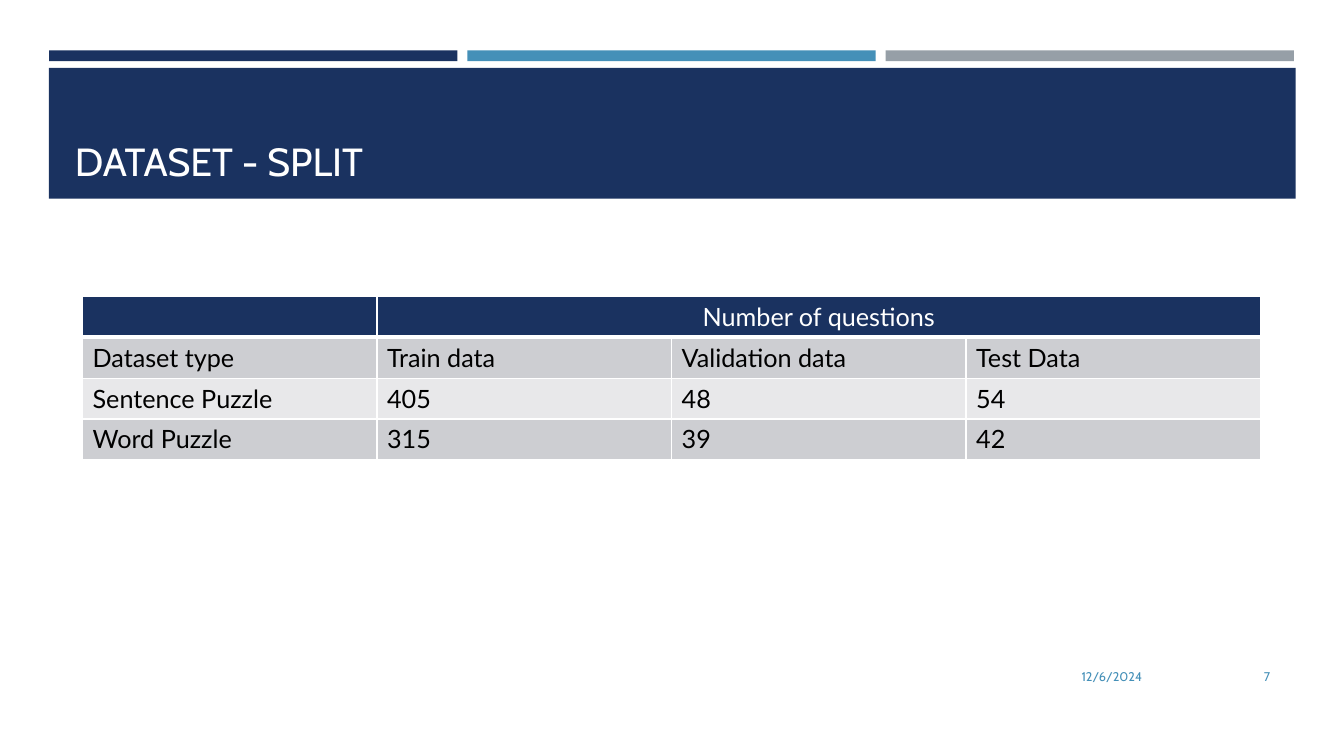
from dataclasses import dataclass

from lxml.etree import SubElement
from pptx import Presentation
from pptx.dml.color import RGBColor
from pptx.enum.shapes import MSO_SHAPE as Preset
from pptx.enum.text import MSO_ANCHOR as Anchor, PP_ALIGN as Align
from pptx.oxml.ns import qn
from pptx.util import Cm, Pt


@dataclass(frozen=True)
class Theme:
    navy: str = "1A3260"
    blue: str = "4590B8"
    grey: str = "969FA7"
    white: str = "FFFFFF"
    black: str = "000000"
    dark_band: str = "CDCED2"
    light_band: str = "E8E8EA"
    heading_font: str = "Cabin"
    table_font: str = "Lato"
    title_size: int = 28
    table_size: int = 18
    footer_size: int = 9
    rule_width: int = 1
    header_rule_width: int = 3


THEME = Theme()
TITLE_ONLY = 5

ROWS = [
    ["", "Number of questions", "", ""],
    ["Dataset type", "Train data", "Validation data", "Test Data"],
    ["Sentence Puzzle", "405", "48", "54"],
    ["Word Puzzle", "315", "39", "42"],
]


def write_text(frame, text, *, font, size, color, align=Align.LEFT, anchor=Anchor.TOP):
    frame.word_wrap = True
    frame.vertical_anchor = anchor
    paragraph = frame.paragraphs[0]
    paragraph.alignment = align
    run = paragraph.add_run()
    run.text = text
    run.font.name = font
    run.font.size = Pt(size)
    run.font.bold = False
    run.font.color.rgb = RGBColor.from_string(color)


def add_bar(slide, left, top, width, height, color):
    bar = slide.shapes.add_shape(
        Preset.RECTANGLE, Cm(left), Cm(top), Cm(width), Cm(height)
    )
    bar.shadow.inherit = False
    bar.fill.solid()
    bar.fill.fore_color.rgb = RGBColor.from_string(color)
    bar.line.fill.background()


def place_title(slide, text):
    title = slide.shapes.title
    title.left, title.top = Cm(1.63), Cm(1.96)
    title.width, title.height = Cm(30.63), Cm(2.82)
    write_text(
        title.text_frame, text, font=THEME.heading_font, size=THEME.title_size,
        color=THEME.white, anchor=Anchor.BOTTOM,
    )
    slide.shapes.element.append(title.element)


def add_footer(slide, text, left, width):
    box = slide.shapes.add_textbox(Cm(left), Cm(16.54), Cm(width), Cm(1.02))
    write_text(
        box.text_frame, text, font=THEME.heading_font, size=THEME.footer_size,
        color=THEME.blue, align=Align.RIGHT, anchor=Anchor.MIDDLE,
    )


def set_borders(cell, widths):
    properties = cell._tc.get_or_add_tcPr()
    for side, width in widths.items():
        line = SubElement(properties, qn(f"a:ln{side}"), w=str(Pt(width)))
        fill = SubElement(line, qn("a:solidFill"))
        SubElement(fill, qn("a:srgbClr"), val=THEME.white)


def format_cell(cell, text, row):
    header = row == 0
    widths = dict.fromkeys("LRTB", THEME.rule_width)
    if row < 2:
        widths["B" if header else "T"] = THEME.header_rule_width
    set_borders(cell, widths)
    band = THEME.dark_band if row % 2 else THEME.light_band
    cell.fill.solid()
    cell.fill.fore_color.rgb = RGBColor.from_string(THEME.navy if header else band)
    if text:
        write_text(
            cell.text_frame, text, font=THEME.table_font, size=THEME.table_size,
            color=THEME.white if header else THEME.black,
            align=Align.CENTER if header else Align.LEFT,
        )


def add_split_table(slide, rows):
    frame = slide.shapes.add_table(
        len(rows), len(rows[0]), Cm(2.08), Cm(7.47), Cm(29.69), Cm(1.03 * len(rows))
    )
    table = frame.table
    table.horz_banding = False
    for row, texts in enumerate(rows):
        for column, text in enumerate(texts):
            format_cell(table.cell(row, column), text, row)
    table.cell(0, 1).merge(table.cell(0, len(rows[0]) - 1))


def main():
    presentation = Presentation()
    presentation.slide_width, presentation.slide_height = Cm(33.87), Cm(19.05)
    slide = presentation.slides.add_slide(presentation.slide_layouts[TITLE_ONLY])

    for index, color in enumerate((THEME.navy, THEME.blue, THEME.grey)):
        add_bar(slide, 1.24 + 10.54 * index, 1.27, 10.29, 0.27, color)
    add_bar(slide, 1.23, 1.71, 31.42, 3.3, THEME.navy)
    place_title(slide, "DATASET - SPLIT")
    add_split_table(slide, ROWS)
    add_footer(slide, "12/6/2024", 21.13, 7.9)
    add_footer(slide, "7", 29.34, 2.92)

    presentation.save("out.pptx")


if __name__ == "__main__":
    main()
